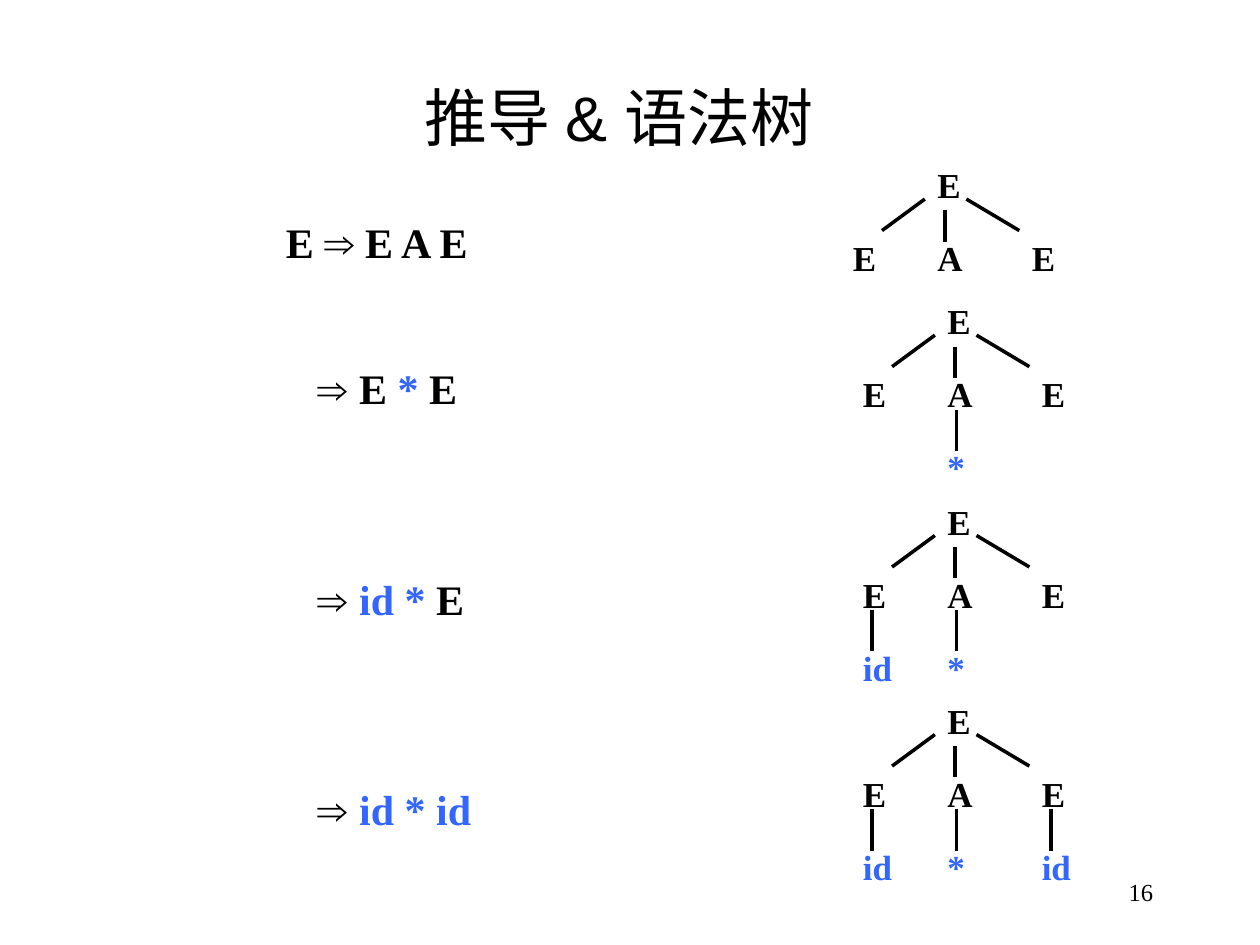
from lxml import etree
from pptx import Presentation
from pptx.dml.color import RGBColor
from pptx.enum.shapes import MSO_CONNECTOR
from pptx.enum.text import MSO_ANCHOR, PP_ALIGN
from pptx.oxml.ns import qn
from pptx.util import Inches, Pt

STRAIGHT = MSO_CONNECTOR.STRAIGHT
TOP, MIDDLE = MSO_ANCHOR.TOP, MSO_ANCHOR.MIDDLE
LEFT, CENTER, RIGHT = PP_ALIGN.LEFT, PP_ALIGN.CENTER, PP_ALIGN.RIGHT

COLORS = {"background": "FFFFFF", "symbol": "000000", "terminal": "3366FF"}
SERIF, SANS = "Times New Roman", "Arial"

# Tree layout, measured from the tree's own top left corner
COLUMNS = (0, 0.67, 1.42)
ROW_PITCH = 0.58
NODE_WIDTH, LEAF_WIDTH, NODE_HEIGHT = 0.58, 0.5, 0.44
BRANCHES = (
    (0.33, 0.58, 0.67, 0.33),
    (0.83, 0.42, 0.83, 0.67),
    (1.0, 0.33, 1.42, 0.58),
)
STEM_X, STEM_TOP, STEM_BOTTOM = 0.17, 0.92, 1.25

# Left, top and the leaf under each of the children E, A, E
TREES = (
    (6.67, 1.25, ("", "", "")),
    (6.75, 2.33, ("", "*", "")),
    (6.75, 3.92, ("id", "*", "")),
    (6.75, 5.5, ("id", "*", "id")),
)

# Top, indent and (text, font, colour) runs of each derivation step
DERIVATION = (
    (1.67, 0, (("E ", SERIF, "symbol"), ("⇒", SANS, "symbol"),
               (" E A E", SERIF, "symbol"))),
    (2.83, 0.25, (("⇒ ", SANS, "symbol"), ("E ", SERIF, "symbol"),
                  ("*", SERIF, "terminal"), (" E", SERIF, "symbol"))),
    (4.5, 0.25, (("⇒ ", SANS, "symbol"), ("id *", SERIF, "terminal"),
                 (" E", SERIF, "symbol"))),
    (6.17, 0.25, (("⇒ ", SANS, "symbol"), ("id * id", SERIF, "terminal"))),
)


def add_text(shapes, box, runs, size, bold=False, align=LEFT, anchor=TOP, indent=0):
    """Place one paragraph of (text, font, colour) runs in a text box."""
    frame = shapes.add_textbox(*(Inches(length) for length in box)).text_frame
    frame.word_wrap = True
    frame.vertical_anchor = anchor
    paragraph = frame.paragraphs[0]
    paragraph.alignment = align
    if indent:
        paragraph._p.get_or_add_pPr().set("marL", str(Inches(indent)))
    for text, font_name, color in runs:
        run = paragraph.add_run()
        run.text = text
        run.font.name = font_name
        run.font.size = Pt(size)
        run.font.bold = bold
        run.font.color.rgb = RGBColor.from_string(COLORS[color])


def add_branch(shapes, x1, y1, x2, y2):
    branch = shapes.add_connector(
        STRAIGHT, Inches(x1), Inches(y1), Inches(x2), Inches(y2))
    branch.line.color.rgb = RGBColor.from_string(COLORS["symbol"])
    branch.line.width = Pt(2)
    etree.SubElement(branch._element.spPr, qn("a:effectLst"))


def add_node(shapes, left, top, label, color="symbol"):
    width = LEAF_WIDTH if color == "terminal" else NODE_WIDTH
    add_text(shapes, (left, top, width, NODE_HEIGHT),
             [(label, SERIF, color)], 20, bold=True)


def add_tree(slide, left, top, leaves):
    """Draw E over E, A, E, with a terminal below each child that has one."""
    shapes = slide.shapes.add_group_shape().shapes
    add_node(shapes, left + COLUMNS[1], top, "E")
    for x1, y1, x2, y2 in BRANCHES:
        add_branch(shapes, left + x1, top + y1, left + x2, top + y2)
    for column, child, leaf in zip(COLUMNS, "EAE", leaves):
        x = left + column
        add_node(shapes, x, top + ROW_PITCH, child)
        if leaf:
            add_branch(shapes, x + STEM_X, top + STEM_TOP,
                       x + STEM_X, top + STEM_BOTTOM)
            add_node(shapes, x, top + 2 * ROW_PITCH, leaf, "terminal")


def add_derivation(slide, left, width):
    for top, indent, runs in DERIVATION:
        add_text(slide.shapes, (left, top, width, 0.5), runs, 24,
                 bold=True, indent=indent)


def add_title(slide, box):
    add_text(slide.shapes, box, [("推导 & 语法树", SANS, "symbol")], 36,
             align=CENTER, anchor=MIDDLE)


def add_page_number(slide, box):
    add_text(slide.shapes, box, [("16", SERIF, "symbol")], 14,
             align=RIGHT, anchor=MIDDLE)


def main():
    presentation = Presentation()
    presentation.slide_width = Inches(10)
    presentation.slide_height = Inches(7.5)
    slide = presentation.slides.add_slide(presentation.slide_layouts[6])
    fill = slide.background.fill
    fill.solid()
    fill.fore_color.rgb = RGBColor.from_string(COLORS["background"])

    add_page_number(slide, (7.17, 6.83, 2.08, 0.5))
    add_title(slide, (0.75, 0.67, 8.33, 0.5))
    for left, top, leaves in TREES:
        add_tree(slide, left, top, leaves)
    add_derivation(slide, 2.17, 2.25)
    presentation.save("out.pptx")


if __name__ == "__main__":
    main()
